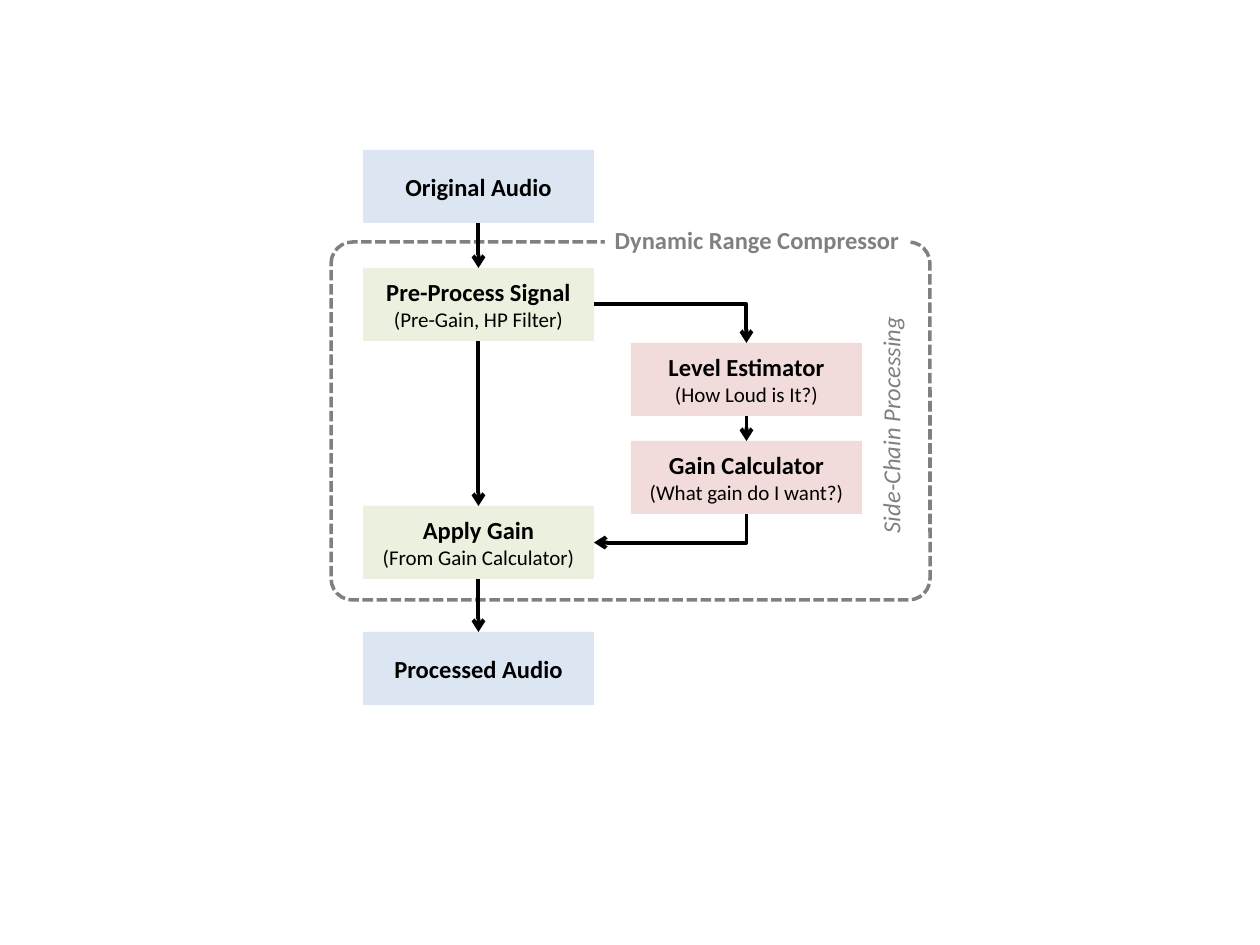
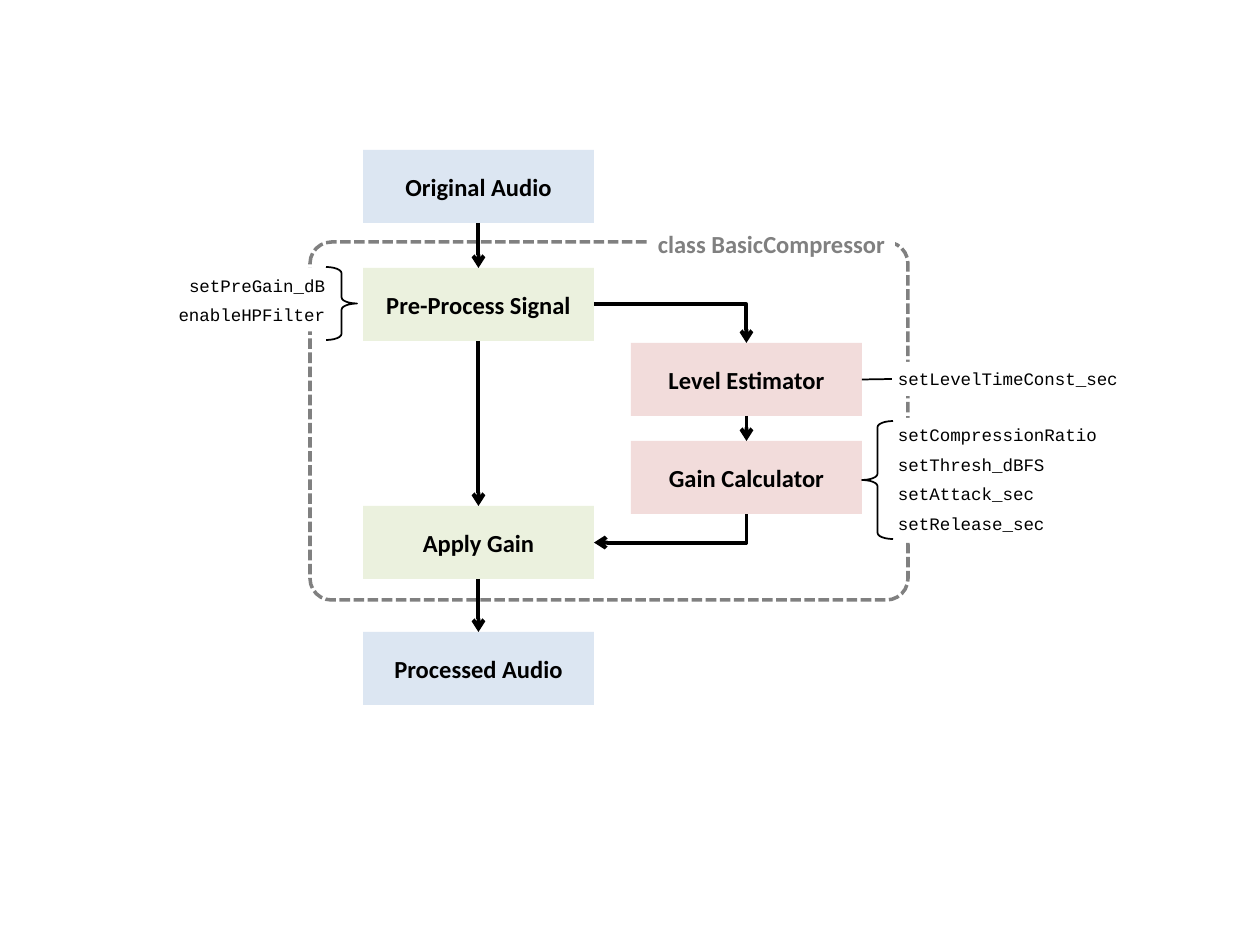
from dataclasses import dataclass

from lxml import etree
from pptx import Presentation
from pptx import util as u
from pptx.dml.color import RGBColor
from pptx.enum import dml, shapes, text
from pptx.oxml.ns import qn

PX = u.Inches(1) / 126
BOX_W, BOX_H = 231, 73
LEFT, RIGHT = 363, 631
TOP, BOTTOM = 0, 2
WEST, EAST = 1, 3


@dataclass(frozen=True)
class Theme:
    ink: str = "000000"
    grey: str = "808080"
    paper: str = "FFFFFF"
    audio: str = "DCE6F2"
    main: str = "EBF1DE"
    side: str = "F2DCDB"
    sans: str = "Calibri"
    mono: str = "Courier New"
    head: int = 14
    note: int = 12
    code: int = 10
    flow: float = 2.25
    dash: int = 2
    thin: int = 1


T = Theme()

# key: left, top, fill, name, note
STEPS = {
    "in": (LEFT, 150, T.audio, "Original Audio", ""),
    "pre": (LEFT, 268, T.main, "Pre-Process Signal", "(Pre-Gain, HP Filter)"),
    "level": (RIGHT, 343, T.side, "Level Estimator", "(How Loud is It?)"),
    "gain": (RIGHT, 441, T.side, "Gain Calculator", "(What gain do I want?)"),
    "apply": (LEFT, 506, T.main, "Apply Gain", "(From Gain Calculator)"),
    "out": (LEFT, 632, T.audio, "Processed Audio", ""),
}
FLOWS = [("in", "pre"), ("pre", "apply"), ("apply", "out"), ("level", "gain")]


# Basic helpers
def emu(*vals):
    return [round(v * PX) for v in vals]


def put(obj, vals):
    for key, val in vals.items():
        setattr(obj, key, val)


def rgb(tone):
    return RGBColor.from_string(tone)


def stroke(line, tone, width):
    line.color.rgb = rgb(tone)
    line.width = u.Pt(width)


def shape(slide, kind, area, fill=None, line=None):
    item = slide.shapes.add_shape(kind, *emu(*area))
    item.shadow.inherit = False
    if fill:
        item.fill.solid()
        item.fill.fore_color.rgb = rgb(fill)
    else:
        item.fill.background()
    if line:
        stroke(item.line, *line)
    else:
        item.line.fill.background()
    return item


def write(item, rows, align=text.PP_ALIGN.CENTER, wrap=True, pad=None):
    """Fill a shape with rows of (words, tone, font values)."""
    frame = item.text_frame
    put(frame, {"word_wrap": wrap, "vertical_anchor": text.MSO_ANCHOR.MIDDLE})
    if pad:
        side, edge = emu(*pad)
        put(frame, {"margin_left": side, "margin_right": side,
                    "margin_top": edge, "margin_bottom": edge})
    for i, (words, tone, look) in enumerate(rows):
        para = frame.add_paragraph() if i else frame.paragraphs[0]
        para.alignment = align
        run = para.add_run()
        run.text = words
        put(run.font, look)
        run.font.color.rgb = rgb(tone)


def font(size, name=T.sans, **more):
    return {"name": name, "size": u.Pt(size), **more}


# Connectors
def finish(link, width, arrow):
    stroke(link.line, T.ink, width)
    if arrow:
        ln = link.line._get_or_add_ln()
        etree.SubElement(ln, qn("a:tailEnd"), type="arrow")
    etree.SubElement(link._element.spPr, qn("a:effectLst"))


def join(slide, start, out, end, into, width=T.flow, arrow=True):
    link = slide.shapes.add_connector(shapes.MSO_CONNECTOR.STRAIGHT, 0, 0, 0, 0)
    link.begin_connect(start, out)
    link.end_connect(end, into)
    finish(link, width, arrow)


def bend(slide, x1, y1, x2, y2, down=False):
    """Draw one corner: across then down, or down then back to the left."""
    if down:
        mx, my = (x1 + x2) / 2, (y1 + y2) / 2
        w, h = abs(y2 - y1) / 2, abs(x2 - x1) / 2
        x1, y1, x2, y2 = mx - w, my - h, mx + w, my + h
    link = slide.shapes.add_connector(
        shapes.MSO_CONNECTOR.ELBOW, *emu(x1, y1, x2, y2))
    props = link._element.spPr
    props.find(qn("a:prstGeom")).set("prst", "bentConnector2")
    if down:
        props.find(qn("a:xfrm")).set("rot", str(90 * 60000))
    finish(link, T.flow, True)


# Diagram parts
def border(slide, left, width):
    item = shape(slide, shapes.MSO_SHAPE.ROUNDED_RECTANGLE,
                 (left, 242, width, 358), line=(T.grey, T.dash))
    item.adjustments[0] = 0.06
    item.line.dash_style = dml.MSO_LINE.SQUARE_DOT


def step(slide, left, top, fill, name, note, full):
    item = shape(slide, shapes.MSO_SHAPE.RECTANGLE,
                 (left, top, BOX_W, BOX_H), fill)
    rows = [(name, T.ink, font(T.head, bold=True))]
    if full and note:
        rows.append((note, T.ink, font(T.note)))
    write(item, rows)
    return item


def caption(slide, words, *area):
    item = shape(slide, shapes.MSO_SHAPE.RECTANGLE, area, T.paper)
    write(item, [(words, T.grey, font(T.head, bold=True))],
          wrap=False, pad=(9, 3))


def call(slide, words, left, top, width, align=text.PP_ALIGN.LEFT):
    item = shape(slide, shapes.MSO_SHAPE.RECTANGLE,
                 (left, top, width, 34), T.paper)
    write(item, [(words, T.ink, font(T.code, T.mono))], align, pad=(6, 6))
    return item


def calls(slide, names, left, top, width, align=text.PP_ALIGN.LEFT):
    for i, name in enumerate(names):
        call(slide, name, left, top + i * 29.4, width, align)


def brace(slide, *area, turn=0):
    item = shape(slide, shapes.MSO_SHAPE.LEFT_BRACE, area,
                 line=(T.ink, T.thin))
    item.adjustments[0] = 0.2
    item.rotation = turn


def chart(slide, left, width, full):
    """Draw the signal flow that both slides share."""
    border(slide, left, width)
    steps = {key: step(slide, *vals, full) for key, vals in STEPS.items()}
    for start, end in FLOWS:
        join(slide, steps[start], BOTTOM, steps[end], TOP)
    edge, mid, half = LEFT + BOX_W, RIGHT + BOX_W / 2, BOX_H / 2
    tops = {key: vals[1] for key, vals in STEPS.items()}
    bend(slide, edge, tops["pre"] + half, mid, tops["level"])
    bend(slide, mid, tops["gain"] + BOX_H, edge, tops["apply"] + half, True)
    return steps


# Slides
def overview(slide):
    chart(slide, 331, 599, True)
    side = slide.shapes.add_textbox(*emu(753, 396, 275, 58))
    side.rotation = 270
    write(side, [("Side-Chain Processing", T.grey, font(T.head, italic=True))])
    caption(slide, "Dynamic Range Compressor", 605, 222, 304, 35)


def methods(slide):
    steps = chart(slide, 310, 598, False)
    calls(slide, ["setPreGain_dB", "enableHPFilter"],
          171, 268, 160, text.PP_ALIGN.RIGHT)
    calls(slide, ["setCompressionRatio", "setThresh_dBFS",
                  "setAttack_sec", "setRelease_sec"], 892, 418, 224)
    const = call(slide, "setLevelTimeConst_sec", 892, 362, 239)
    brace(slide, 862, 421, 31, 118)
    brace(slide, 326, 267, 31, 73, turn=180)
    join(slide, const, WEST, steps["level"], EAST, T.thin, False)
    caption(slide, "class BasicCompressor", 648, 226, 247, 35)


def main():
    deck = Presentation()
    put(deck, {"slide_width": u.Inches(10), "slide_height": u.Inches(7.5)})
    for draw in (overview, methods):
        draw(deck.slides.add_slide(deck.slide_layouts[6]))
    deck.save("out.pptx")


if __name__ == "__main__":
    main()
